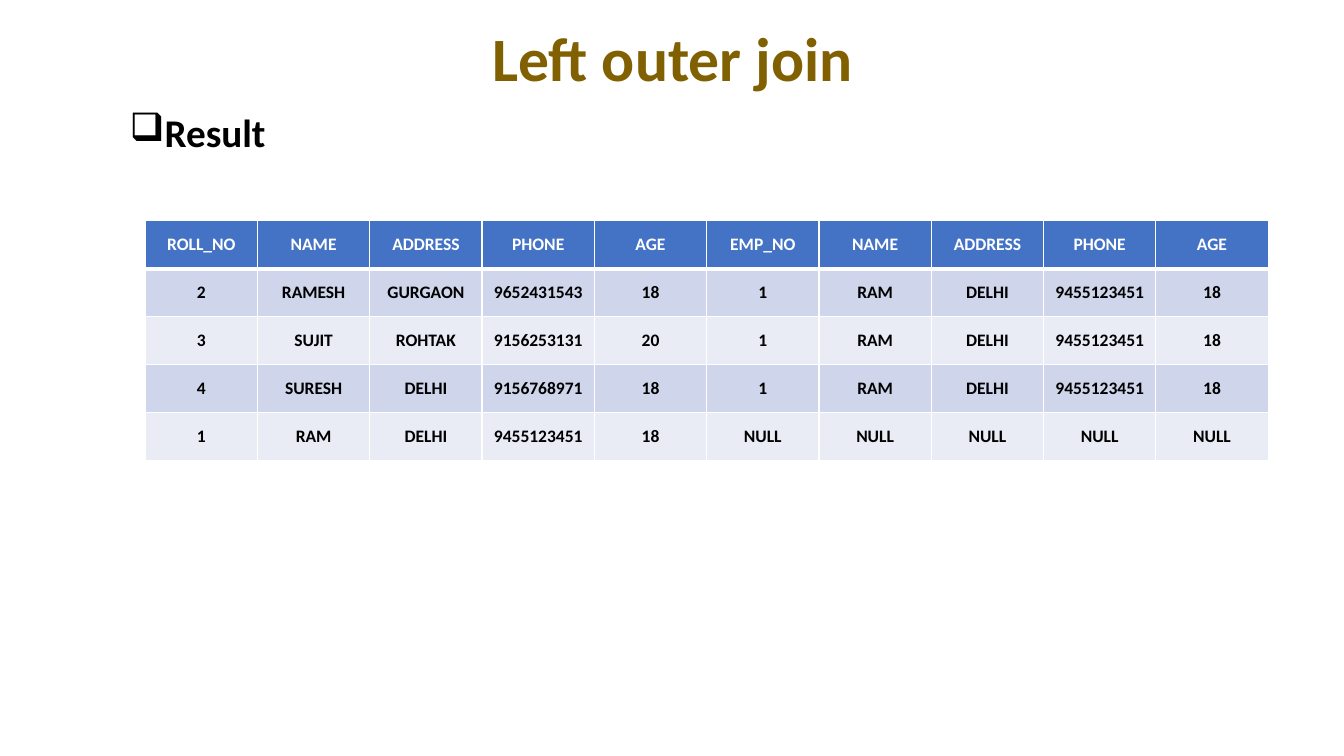
from lxml.etree import SubElement
from pptx import Presentation
from pptx.dml.color import RGBColor
from pptx.enum.text import MSO_ANCHOR as Anchor, PP_ALIGN as Align
from pptx.oxml.ns import qn
from pptx.util import Inches, Pt

SLIDE_WIDTH, SLIDE_HEIGHT = 13.33, 7.5
GRID_COLUMNS, GRID_ROWS = 120, 75

HEADINGS = ["ROLL_NO", "NAME", "ADDRESS", "PHONE", "AGE",
            "EMP_NO", "NAME", "ADDRESS", "PHONE", "AGE"]
EMPLOYEE = ["1", "RAM", "DELHI", "9455123451", "18"]
NO_MATCH = ["NULL"] * len(EMPLOYEE)
JOINED_ROWS = [
    ["2", "RAMESH", "GURGAON", "9652431543", "18"] + EMPLOYEE,
    ["3", "SUJIT", "ROHTAK", "9156253131", "20"] + EMPLOYEE,
    ["4", "SURESH", "DELHI", "9156768971", "18"] + EMPLOYEE,
    EMPLOYEE + NO_MATCH,
]


def color(hex_string):
    return RGBColor.from_string(hex_string)


def columns(count):
    return Inches(count * SLIDE_WIDTH / GRID_COLUMNS)


def rows(count):
    return Inches(count * SLIDE_HEIGHT / GRID_ROWS)


class JoinSlide:
    font = "Calibri"
    title_color, text_color, line_color = "806000", "000000", "FFFFFF"
    header_fill, band_fills = "4472C4", ("E9EBF5", "CFD5EA")

    def __init__(self, deck):
        self.slide = deck.slides.add_slide(deck.slide_layouts[6])

    def style(self, paragraph, size, hex_string):
        for run in paragraph.runs:
            run.font.name = self.font
            run.font.size = Pt(size)
            run.font.bold = True
            run.font.color.rgb = color(hex_string)

    def text(self, words, left, top, width, height, size, hex_string):
        box = self.slide.shapes.add_textbox(
            columns(left), rows(top), columns(width), rows(height))
        frame = box.text_frame
        frame.word_wrap = True
        frame.text = words
        line = frame.paragraphs[0]
        line.line_spacing = 0.9
        self.style(line, size, hex_string)
        return frame

    def title(self, words, *place):
        frame = self.text(words, *place, 44, self.title_color)
        frame.vertical_anchor = Anchor.MIDDLE
        frame.paragraphs[0].alignment = Align.CENTER

    def bullet(self, words, *place):
        frame = self.text(words, *place, 28, self.text_color)
        properties = frame.paragraphs[0]._p.get_or_add_pPr()
        properties.set("marL", str(Inches(0.25)))
        properties.set("indent", str(-Inches(0.25)))
        SubElement(properties, qn("a:buChar"), char="❑")

    def borders(self, cell, top, bottom):
        properties = cell._tc.get_or_add_tcPr()
        for side, weight in zip("LRTB", (1, 1, top, bottom)):
            line = SubElement(properties, qn(f"a:ln{side}"), w=str(Pt(weight)))
            paint = SubElement(line, qn("a:solidFill"))
            SubElement(paint, qn("a:srgbClr"), val=self.line_color)

    def cell(self, cell, words, row):
        header = row == 0
        # Borders precede the fill in the cell properties
        self.borders(cell, 3 if row == 1 else 1, 3 if header else 1)
        cell.fill.solid()
        cell.fill.fore_color.rgb = color(
            self.header_fill if header else self.band_fills[row % 2])
        cell.vertical_anchor = Anchor.MIDDLE
        cell.margin_left = cell.margin_right = Inches(0.08)
        cell.margin_top = cell.margin_bottom = Inches(0.12)
        cell.text_frame.text = words
        line = cell.text_frame.paragraphs[0]
        line.alignment = Align.CENTER
        self.style(line, 12.5, self.line_color if header else self.text_color)

    def table(self, records, left, top, column_width, row_height):
        row_count, column_count = len(records), len(records[0])
        table = self.slide.shapes.add_table(
            row_count, column_count, columns(left), rows(top),
            columns(column_width * column_count),
            rows(row_height * row_count)).table
        for row, record in enumerate(records):
            for column, words in enumerate(record):
                self.cell(table.cell(row, column), words, row)


def main():
    deck = Presentation()
    deck.slide_width, deck.slide_height = Inches(SLIDE_WIDTH), Inches(SLIDE_HEIGHT)
    join = JoinSlide(deck)
    # Heading and subheading
    join.bullet("Result", 10.7, 10.8, 107.6, 63.1)
    join.title("Left outer join", 8.3, 0.2, 103.5, 11.9)
    # Joined records
    join.table([HEADINGS] + JOINED_ROWS, 12.96, 21.9, 10.03, 4.76)
    deck.save("out.pptx")


if __name__ == "__main__":
    main()
